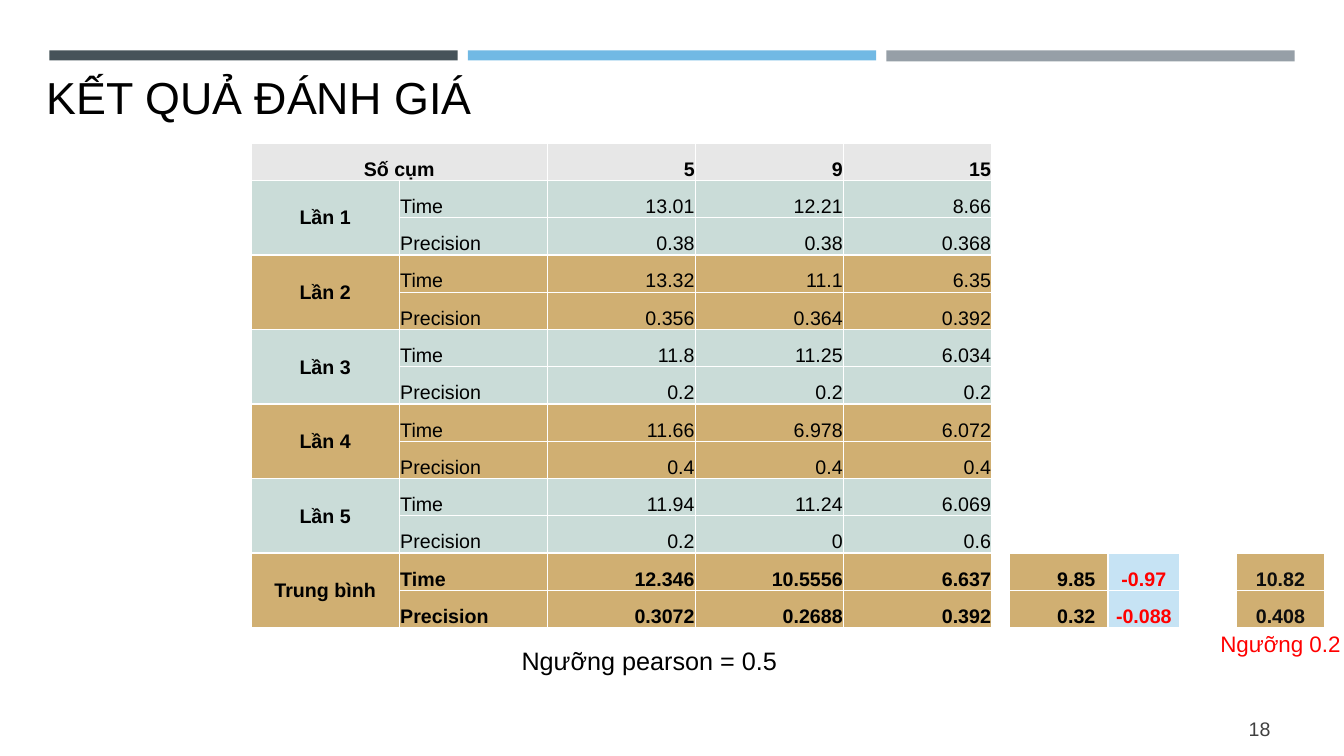
from lxml.etree import SubElement
from pptx import Presentation
from pptx.dml.color import RGBColor
from pptx.enum.shapes import MSO_SHAPE
from pptx.enum.text import MSO_ANCHOR, PP_ALIGN
from pptx.oxml.ns import qn
from pptx.util import Inches, Pt

COLORS = {
    "slate": "465359", "blue": "71B9E4", "gray": "969FA7",
    "header": "E7E7E7", "mint": "CADCD8", "gold": "D0AF72", "sky": "C6E3F4",
    "black": "000000", "ink": "0D0D0D", "red": "FF0000",
    "number": "404040", "white": "FFFFFF",
}
FONT = "Arial"
ROW_HEIGHT = 0.37
CLUSTERS = ["5", "9", "15"]
RUNS = [
    ("Lần 1", ["13.01", "12.21", "8.66"], ["0.38", "0.38", "0.368"]),
    ("Lần 2", ["13.32", "11.1", "6.35"], ["0.356", "0.364", "0.392"]),
    ("Lần 3", ["11.8", "11.25", "6.034"], ["0.2", "0.2", "0.2"]),
    ("Lần 4", ["11.66", "6.978", "6.072"], ["0.4", "0.4", "0.4"]),
    ("Lần 5", ["11.94", "11.24", "6.069"], ["0.2", "0", "0.6"]),
    ("Trung bình", ["12.346", "10.5556", "6.637"], ["0.3072", "0.2688", "0.392"]),
]
SIDE_TABLES = [
    (10.01, 1.33, ["9.85", "0.32"], "gold", "black"),
    (12.26, 0.88, ["10.82", "0.408"], "gold", "ink"),
    (10.99, 0.71, ["-0.97", "-0.088"], "sky", "red"),
]


def rgb(name):
    return RGBColor.from_string(COLORS[name])


def write(frame, text, size=14, color="black", bold=False, align=PP_ALIGN.LEFT):
    para = frame.paragraphs[0]
    para.alignment = align
    span = para.add_run()
    span.text = text
    span.font.name = FONT
    span.font.size = Pt(size)
    span.font.bold = bold
    span.font.color.rgb = rgb(color)


def add_bar(page, left, height, color):
    bar = page.shapes.add_shape(MSO_SHAPE.RECTANGLE, Inches(left), Inches(0.5),
                                Inches(4.05), Inches(height))
    bar.shadow.inherit = False
    bar.fill.solid()
    bar.fill.fore_color.rgb = rgb(color)
    bar.line.fill.background()


def add_label(page, text, left, top, width, height, anchor=MSO_ANCHOR.TOP, **style):
    box = page.shapes.add_textbox(Inches(left), Inches(top), Inches(width), Inches(height))
    box.text_frame.word_wrap = True
    box.text_frame.vertical_anchor = anchor
    write(box.text_frame, text, **style)


def set_title(page, text):
    title = page.shapes.title
    title.left, title.top = Inches(0.36), Inches(0.64)
    title.width, title.height = Inches(10.64), Inches(0.64)
    title.text_frame.word_wrap = True
    title.text_frame.vertical_anchor = MSO_ANCHOR.TOP
    write(title.text_frame, text, size=32)


def add_borders(cell):
    properties = cell._tc.get_or_add_tcPr()
    for position, side in enumerate(("lnL", "lnR", "lnT", "lnB")):
        line = SubElement(properties, qn(f"a:{side}"), w=str(Pt(1)))
        properties.insert(position, line)
        fill = SubElement(line, qn("a:solidFill"))
        SubElement(fill, qn("a:srgbClr"), val=COLORS["white"])


def add_grid(page, left, top, column_width, row_count, column_count, row_height=ROW_HEIGHT):
    frame = page.shapes.add_table(row_count, column_count, Inches(left), Inches(top),
                                  Inches(column_width * column_count),
                                  Inches(row_height * row_count))
    table = frame.table
    table.first_row = False
    table.horz_banding = False
    for column in table.columns:
        column.width = Inches(column_width)
    for row in table.rows:
        row.height = Inches(row_height)
    return table


def fill_cell(cell, text, fill, anchor=MSO_ANCHOR.BOTTOM, **style):
    cell.margin_left = cell.margin_right = cell.margin_top = Inches(0.01)
    cell.margin_bottom = 0
    cell.vertical_anchor = anchor
    cell.fill.solid()
    cell.fill.fore_color.rgb = rgb(fill)
    add_borders(cell)
    if text:
        write(cell.text_frame, text, **style)


def add_results(page):
    table = add_grid(page, 2.49, 1.42, 1.47, 1 + 2 * len(RUNS), 2 + len(CLUSTERS),
                     row_height=4.81 / 13)
    table.cell(0, 0).merge(table.cell(0, 1))
    fill_cell(table.cell(0, 0), "Số cụm", "header", bold=True, align=PP_ALIGN.CENTER)
    fill_cell(table.cell(0, 1), "", "header")
    for column, count in enumerate(CLUSTERS, 2):
        fill_cell(table.cell(0, column), count, "header", bold=True, align=PP_ALIGN.RIGHT)
    for index, (name, times, precisions) in enumerate(RUNS):
        top = 1 + 2 * index
        fill = "gold" if index % 2 else "mint"
        is_average = index == len(RUNS) - 1
        table.cell(top, 0).merge(table.cell(top + 1, 0))
        fill_cell(table.cell(top, 0), name, fill, anchor=MSO_ANCHOR.MIDDLE,
                  bold=True, align=PP_ALIGN.CENTER)
        fill_cell(table.cell(top + 1, 0), "", fill)
        measures = [("Time", times), ("Precision", precisions)]
        for row, (measure, values) in enumerate(measures, top):
            fill_cell(table.cell(row, 1), measure, fill, bold=is_average)
            for column, value in enumerate(values, 2):
                fill_cell(table.cell(row, column), value, fill, bold=is_average,
                          align=PP_ALIGN.RIGHT)


def add_side_table(page, left, width, values, fill, color):
    table = add_grid(page, left, 5.49, width, len(values), 1)
    for row, value in enumerate(values):
        fill_cell(table.cell(row, 0), value, fill, color=color, bold=True,
                  align=PP_ALIGN.CENTER)


def main():
    deck = Presentation()
    deck.slide_width, deck.slide_height = Inches(13.33), Inches(7.5)
    page = deck.slides.add_slide(deck.slide_layouts[5])
    add_bar(page, 0.49, 0.1, "slate")
    add_bar(page, 8.79, 0.11, "gray")
    add_bar(page, 4.64, 0.1, "blue")
    add_label(page, "18", 11.55, 7.03, 1.15, 0.4, anchor=MSO_ANCHOR.MIDDLE,
              color="number", align=PP_ALIGN.RIGHT)
    add_results(page)
    add_label(page, "Ngưỡng pearson = 0.5", 4.95, 6.35, 2.98, 0.4, size=18,
              align=PP_ALIGN.CENTER)
    for side_table in SIDE_TABLES:
        add_side_table(page, *side_table)
    add_label(page, "Ngưỡng 0.2", 11.9, 6.2, 1.6, 0.37, size=16, color="red",
              align=PP_ALIGN.CENTER)
    set_title(page, "KẾT QUẢ ĐÁNH GIÁ")
    deck.save("out.pptx")


if __name__ == "__main__":
    main()
